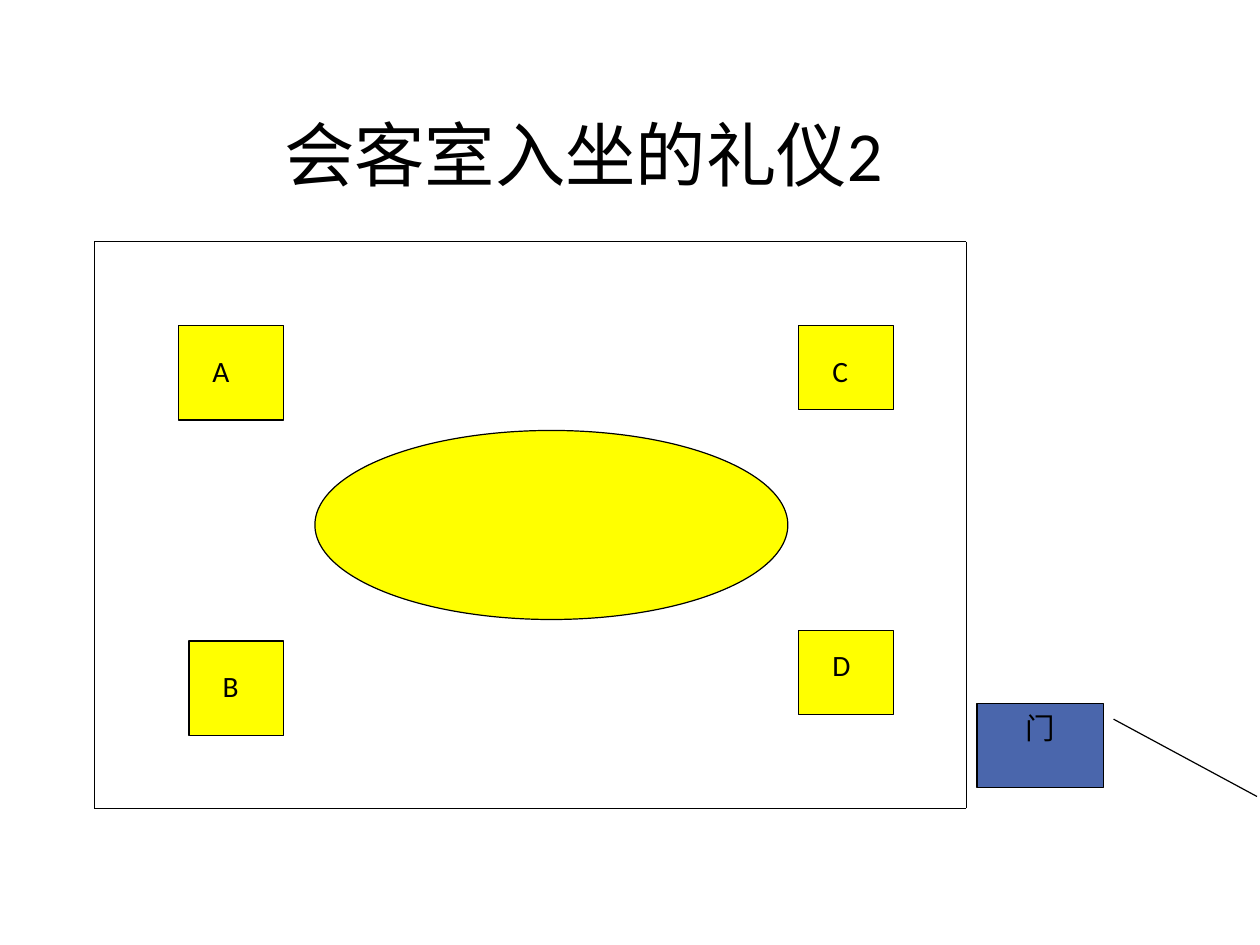
from dataclasses import dataclass
from itertools import pairwise

from lxml import etree
from pptx import Presentation
from pptx.dml.color import RGBColor
from pptx.enum import shapes, text
from pptx.oxml import ns
from pptx.shapes.autoshape import Shape
from pptx.slide import Slide
from pptx.util import Pt

FONT = "Calibri"
BLACK = "000000"
YELLOW = "FFFF00"
BLUE = "4A66AC"
LINE_WIDTH = 0.75
ROOM_LEFT, ROOM_TOP, ROOM_RIGHT, ROOM_BOTTOM = 57.6, 147.6, 590.4, 493.9
LABEL_INDENT, LABEL_WIDTH, LABEL_HEIGHT = 12.9, 32.4, 29.5


@dataclass(frozen=True)
class Box:
    left: float
    top: float
    width: float
    height: float

    def lengths(self) -> tuple[Pt, Pt, Pt, Pt]:
        return Pt(self.left), Pt(self.top), Pt(self.width), Pt(self.height)


@dataclass(frozen=True)
class Seat:
    name: str
    box: Box
    label_drop: float


TITLE_BOX = Box(83.5, 64.1, 545.8, 59.8)
TABLE_BOX = Box(192.4, 263, 288.9, 115.5)
DOOR_BOX = Box(596.9, 429.8, 77, 51.3)
DOOR_LEADER = (0.188, 1.083, 0.188, 1.083, 1.109, 2.221)
SEATS = (
    Seat("A", Box(109.2, 198.8, 64.2, 57.8), 12.9),
    Seat("B", Box(115.4, 391.6, 57.8, 57.8), 12.5),
    Seat("C", Box(487.8, 198.8, 57.8, 51.3), 12.9),
    Seat("D", Box(487.8, 385.2, 57.8, 51.3), 6.4),
)


def color(value: str) -> RGBColor:
    return RGBColor.from_string(value)


def write(shape: Shape, words: str, *, size: float = 18, centered: bool = False) -> None:
    frame = shape.text_frame
    frame.word_wrap = True
    frame.auto_size = text.MSO_AUTO_SIZE.NONE
    frame.vertical_anchor = text.MSO_ANCHOR.TOP
    frame.margin_left = frame.margin_right = Pt(7.7)
    frame.margin_top = frame.margin_bottom = Pt(3.8)
    paragraph = frame.paragraphs[0]
    paragraph.alignment = text.PP_ALIGN.CENTER if centered else text.PP_ALIGN.LEFT
    run = paragraph.add_run()
    run.text = words
    run.font.name = FONT
    run.font.size = Pt(size)
    run.font.color.rgb = color(BLACK)


def add_filled(slide: Slide, kind: shapes.MSO_SHAPE, box: Box, fill: str) -> Shape:
    shape = slide.shapes.add_shape(kind, *box.lengths())
    shape.shadow.inherit = False
    shape.fill.solid()
    shape.fill.fore_color.rgb = color(fill)
    shape.line.color.rgb = color(BLACK)
    shape.line.width = Pt(LINE_WIDTH)
    return shape


def add_title(slide: Slide) -> None:
    title = slide.shapes.title
    title.left, title.top, title.width, title.height = TITLE_BOX.lengths()
    write(title, "会客室入坐的礼仪2", size=43, centered=True)


def add_seat(slide: Slide, seat: Seat) -> None:
    add_filled(slide, shapes.MSO_SHAPE.RECTANGLE, seat.box, YELLOW)
    label_box = Box(
        seat.box.left + LABEL_INDENT,
        seat.box.top + seat.label_drop,
        LABEL_WIDTH,
        LABEL_HEIGHT,
    )
    write(slide.shapes.add_textbox(*label_box.lengths()), seat.name)


def add_door(slide: Slide) -> None:
    door = add_filled(slide, shapes.MSO_SHAPE.LINE_CALLOUT_2, DOOR_BOX, BLUE)
    for index, value in enumerate(DOOR_LEADER):
        door.adjustments[index] = value
    write(door, "门", centered=True)


def add_walls(slide: Slide) -> None:
    corners = (
        (ROOM_LEFT, ROOM_TOP),
        (ROOM_RIGHT, ROOM_TOP),
        (ROOM_RIGHT, ROOM_BOTTOM),
        (ROOM_LEFT, ROOM_BOTTOM),
    )
    for start, end in pairwise((*corners, corners[0])):
        wall = slide.shapes.add_connector(
            shapes.MSO_CONNECTOR.STRAIGHT, *map(Pt, start + end)
        )
        wall.line.color.rgb = color(BLACK)
        wall.line.width = Pt(LINE_WIDTH)
        etree.SubElement(wall._element.spPr, ns.qn("a:effectLst"))


def main() -> None:
    presentation = Presentation()
    presentation.slide_width = Pt(769.7)
    presentation.slide_height = Pt(577.4)
    slide = presentation.slides.add_slide(presentation.slide_layouts[5])
    add_title(slide)
    add_filled(slide, shapes.MSO_SHAPE.OVAL, TABLE_BOX, YELLOW)
    for seat in SEATS:
        add_seat(slide, seat)
    add_door(slide)
    add_walls(slide)
    presentation.save("out.pptx")


if __name__ == "__main__":
    main()
